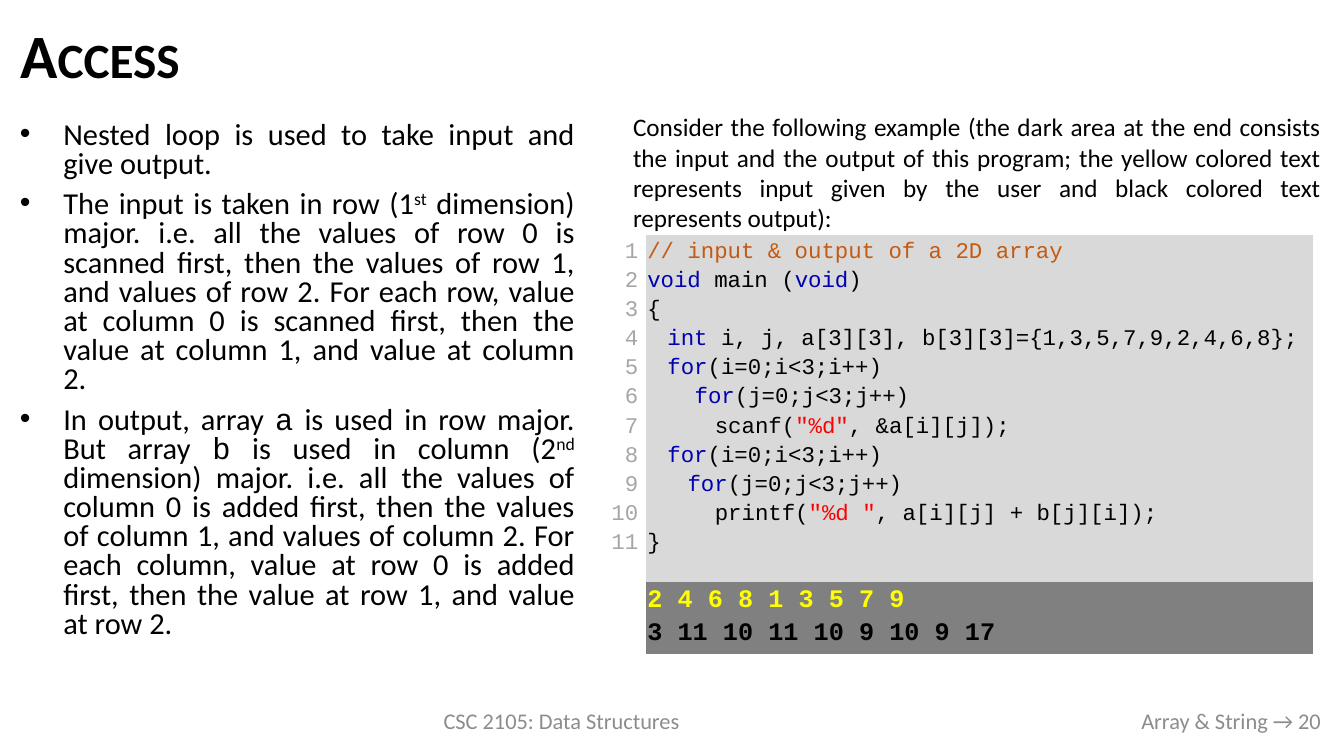
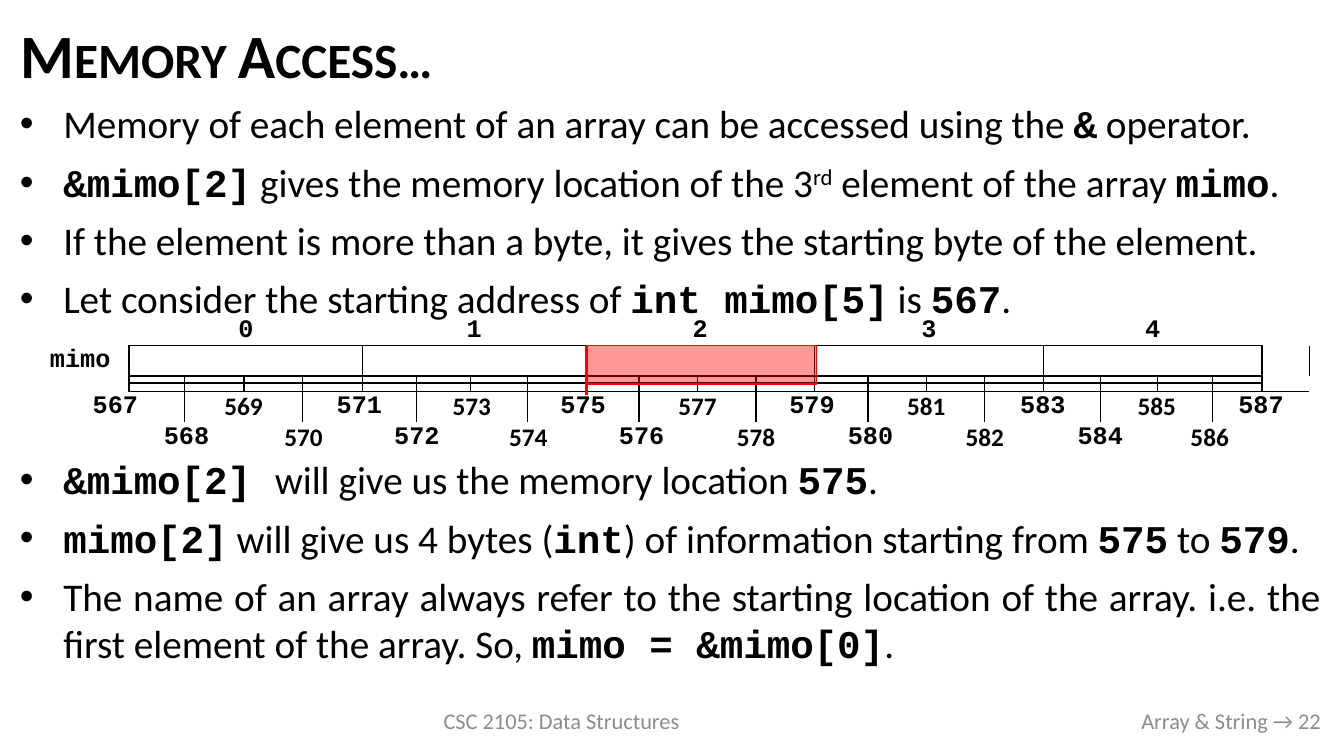
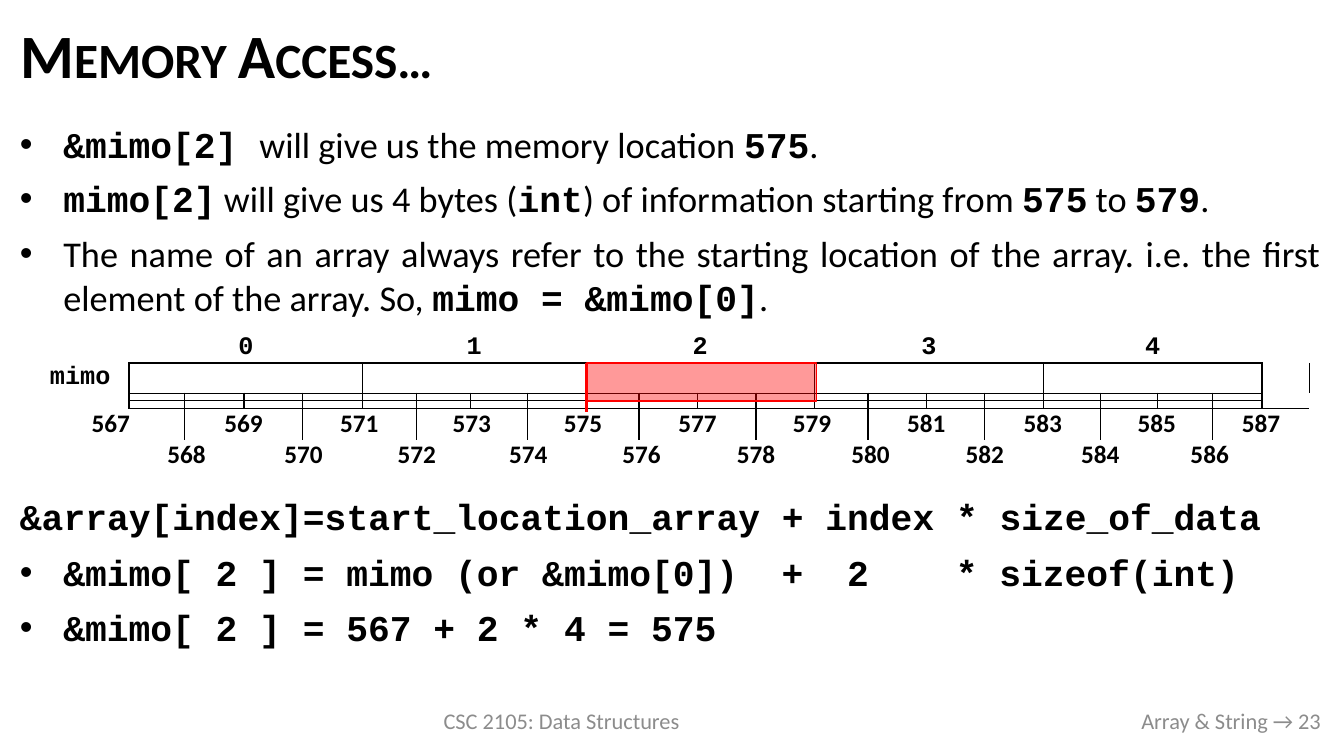
from collections import defaultdict
from dataclasses import dataclass, replace
from typing import Iterable, Optional, Union

from pptx import Presentation, util as u
from pptx.dml.color import RGBColor
from pptx.enum import shapes, text
from pptx.oxml.xmlchemy import OxmlElement

EMU_PER_PX = 9144  # 100 px to the inch
SANS, MONO = "Calibri", "Courier New"
COLORS = {
    "ink": "000000", "footer": "8C8C8C", "line_no": "A6A6A6", "comment": "C55A11",
    "keyword": "0000B0", "string": "FF0000", "input": "FFFF00",
    "code_bg": "D9D9D9", "console_bg": "808080", "mark": "FF0000",
}
ALIGN, ANCHOR = text.PP_ALIGN, text.MSO_ANCHOR
NO_STYLE = "{2D5ABB26-0587-4C30-8999-92F81FD0307C}"


@dataclass(frozen=True)
class Box:
    left: int
    top: int
    width: int
    height: int

    def emu(self) -> list[int]:
        return [px(n) for n in (self.left, self.top, self.width, self.height)]


@dataclass(frozen=True)
class Run:
    words: str
    color: str = "ink"
    font: str = SANS
    bold: bool = False
    raised: bool = False
    small_caps: bool = False


@dataclass(frozen=True)
class Style:
    size: float
    align: ALIGN = ALIGN.LEFT
    line: Optional[Union[float, u.Length]] = None
    gap: int = 0
    indent: int = 0
    bullet: bool = False


@dataclass(frozen=True)
class CodeLine:
    indent: int
    tokens: tuple[tuple[str, str], ...]


TITLE_BOX = Box(10, 11, 1310, 95)
COURSE_BOX = Box(389, 695, 336, 40)
PAGE_BOX = Box(771, 695, 549, 40)

ACCESS_POINTS = (
    "Nested loop is used to take input and give output.",
    "The input is taken in row (1^st^ dimension) major. i.e. all the values of row 0 is "
    "scanned first, then the values of row 1, and values of row 2. For each row, value at "
    "column 0 is scanned first, then the value at column 1, and value at column 2.",
    "In output, array `a` is used in row major. But array `b` is used in column (2^nd^ "
    "dimension) major. i.e. all the values of column 0 is added first, then the values of "
    "column 1, and values of column 2. For each column, value at row 0 is added first, then "
    "the value at row 1, and value at row 2.",
)
EXAMPLE_INTRO = (
    "Consider the following example (the dark area at the end consists the input and the "
    "output of this program; the yellow colored text represents input given by the user and "
    "black colored text represents output):"
)
FOR_I = (("for", "keyword"), ("(i=0;i<3;i++)", "ink"))
FOR_J = (("for", "keyword"), ("(j=0;j<3;j++)", "ink"))
PROGRAM = (
    CodeLine(0, (("// input & output of a 2D array", "comment"),)),
    CodeLine(0, (("void", "keyword"), (" main (", "ink"), ("void", "keyword"), (")", "ink"))),
    CodeLine(0, (("{", "ink"),)),
    CodeLine(20, (("int ", "keyword"),
                  ("i, j, a[3][3], b[3][3]={1,3,5,7,9,2,4,6,8};", "ink"))),
    CodeLine(20, FOR_I),
    CodeLine(47, FOR_J),
    CodeLine(67, (("scanf(", "ink"), ('"%d"', "string"), (", &a[i][j]);", "ink"))),
    CodeLine(20, FOR_I),
    CodeLine(40, FOR_J),
    CodeLine(67, (("printf(", "ink"), ('"%d "', "string"), (", a[i][j] + b[j][i]);", "ink"))),
    CodeLine(0, (("}", "ink"),)),
)
CONSOLE = (("2 4 6 8 1 3 5 7 9", "input"), ("3 11 10 11 10 9 10 9 17", "ink"))

MEMORY_POINTS = (
    "Memory of each element of an array can be accessed using the `&` operator.",
    "`&mimo[2]` gives the memory location of the 3^rd^ element of the array `mimo`.",
    "If the element is more than a byte, it gives the starting byte of the element.",
    "Let consider the starting address of `int mimo[5]` is `567`.",
)
ADDRESS_FACTS = (
    "`&mimo[2] `will give us the memory location `575`.",
    "`mimo[2]` will give us 4 bytes (`int`) of information starting from `575` to `579`.",
    "The name of an array always refer to the starting location of the array. i.e. the "
    "first element of the array. So, `mimo = &mimo[0]`.",
)
FORMULA = "`&array[index]=start_location_array + index * size_of_data`"
FORMULA_STEPS = (
    "`&mimo[ 2 ] = mimo (or &mimo[0])  +  2    * sizeof(int)`",
    "`&mimo[ 2 ] = 567 + 2 * 4 = 575`",
)

# Memory strip: one column per byte, with a margin column at each end
STRIP_COLS = (97, 55, 59, 58, 60, 53, 54, 56, 58, 53, 58,
              58, 58, 53, 58, 58, 58, 57, 56, 55, 49, 47)
STRIP_ROWS = (28, 28, 7, 8, 31, 31)
INDEX_ROW, ELEMENT_ROW, TICK_ROW, STUB_ROW, ODD_ROW, EVEN_ROW = range(6)
FIRST_BYTE, INT_SIZE, ELEMENTS = 567, 4, 5
BYTES = INT_SIZE * ELEMENTS


def px(n: int) -> int:
    return n * EMU_PER_PX


def rgb(name: str) -> RGBColor:
    return RGBColor.from_string(COLORS[name])


def apply(target, values: dict) -> None:
    for name, value in values.items():
        setattr(target, name, value)


def child(parent, tag: str, **attributes: str):
    element = OxmlElement(tag)
    for name, value in attributes.items():
        element.set(name, value)
    parent.append(element)
    return element


# Text
def rich(marked: str, bold_code: bool = True) -> list[Run]:
    """Backticks enclose code, carets enclose superscripts."""
    return [
        Run(piece, font=MONO if i % 2 else SANS, bold=bool(i % 2) and bold_code,
            raised=bool(j % 2))
        for i, chunk in enumerate(marked.split("`"))
        for j, piece in enumerate(chunk.split("^")) if piece
    ]


def write(frame, runs: Iterable[Run], style: Style) -> None:
    first = frame.paragraphs[0]
    par = frame.add_paragraph() if first.runs else first
    apply(par, {"alignment": style.align, "line_spacing": style.line,
                "space_before": u.Pt(style.gap), "space_after": u.Pt(style.gap)})
    props = par._p.get_or_add_pPr()
    props.set("marL", str(px(style.indent)))
    props.set("indent", str(-px(style.indent) if style.bullet else 0))
    if style.bullet:
        child(props, "a:buFont", typeface="Arial")
        child(props, "a:buChar", char="•")
    else:
        child(props, "a:buNone")
    for part in runs:
        run = par.add_run()
        run.text = part.words
        apply(run.font, {"size": u.Pt(style.size), "name": part.font, "bold": part.bold})
        run.font.color.rgb = rgb(part.color)
        run_props = run._r.get_or_add_rPr()
        if part.raised:
            run_props.set("baseline", "30000")
        if part.small_caps:
            run_props.set("cap", "small")


def text_box(slide, box: Box, anchor: ANCHOR = ANCHOR.TOP):
    frame = slide.shapes.add_textbox(*box.emu()).text_frame
    apply(frame, {"word_wrap": True, "vertical_anchor": anchor})
    return frame


def bullets(frame, points: Iterable[str], style: Style, bold_code: bool = True) -> None:
    for point in points:
        write(frame, rich(point, bold_code), style)


def bullet_style(size: float, line: Optional[Union[float, u.Length]] = None) -> Style:
    return Style(size, ALIGN.JUSTIFY, line, gap=4, indent=43, bullet=True)


# Slide frame: title and footers
def new_slide(deck, heading: str, page: int):
    slide = deck.slides.add_slide(deck.slide_layouts[5])
    title = slide.shapes.title
    apply(title, dict(zip(("left", "top", "width", "height"), TITLE_BOX.emu())))
    apply(title.text_frame, {"word_wrap": True, "vertical_anchor": ANCHOR.MIDDLE,
                             "auto_size": text.MSO_AUTO_SIZE.NONE})
    write(title.text_frame, [Run(heading, bold=True, small_caps=True)], Style(44, line=0.9))
    for box, words, align in (
        (COURSE_BOX, "CSC 2105: Data Structures", ALIGN.CENTER),
        (PAGE_BOX, f"Array & String → {page}", ALIGN.RIGHT),
    ):
        write(text_box(slide, box, ANCHOR.MIDDLE), [Run(words, "footer")], Style(16, align))
    return slide


# Tables
def plain_table(slide, left: int, top: int, cols: tuple[int, ...], rows: tuple[int, ...],
                inset: int):
    box = Box(left, top, sum(cols), sum(rows))
    table = slide.shapes.add_table(len(rows), len(cols), *box.emu()).table
    apply(table, {"first_row": False, "horz_banding": False})
    table._tbl.tblPr[0].text = NO_STYLE
    for column, width in zip(table.columns, cols):
        column.width = px(width)
    for row, height in zip(table.rows, rows):
        row.height = px(height)
    for cell in table.iter_cells():
        apply(cell, {f"margin_{side}": px(inset) for side in ("left", "top", "right", "bottom")})
        cell.fill.background()
    return table


def code_table(slide) -> None:
    table = plain_table(slide, 603, 233, (38, 661), (344, 72), inset=1)
    numbers, code = table.cell(0, 0), table.cell(0, 1)
    console = table.cell(1, 1)
    numbers.margin_right = px(8)
    for cell, color in ((code, "code_bg"), (console, "console_bg")):
        cell.fill.solid()
        cell.fill.fore_color.rgb = rgb(color)
    code_style = Style(16, line=1.15)
    for number, line in enumerate(PROGRAM, 1):
        write(numbers.text_frame, [Run(str(number), "line_no", MONO)],
              replace(code_style, align=ALIGN.RIGHT))
        write(code.text_frame, [Run(words, color, MONO) for words, color in line.tokens],
              replace(code_style, indent=line.indent))
    for words, color in CONSOLE:
        write(console.text_frame, [Run(words, color, MONO, bold=True)],
              replace(code_style, size=18))


def strip_borders(table) -> None:
    edges = defaultdict(set)
    last = len(STRIP_COLS) - 1
    every_byte = range(1, last + 1)
    # Upright lines: row, column boundaries, columns merged to the left of each
    for row, boundaries, span in (
        (ELEMENT_ROW, range(1, last + 1, INT_SIZE), INT_SIZE),
        (TICK_ROW, every_byte, 1),
        (STUB_ROW, every_byte, 1),
        (ODD_ROW, range(2, last, 2), 2),
    ):
        for col in boundaries:
            edges[row, max(0, col - span)].add("R")
            edges[row, col].add("L")
    # Level lines above and below the elements
    for row in (INDEX_ROW, TICK_ROW):
        for col in range(1, last):
            edges[row, col].add("B")
            edges[row + 1, col].add("T")
    for (row, col), sides in edges.items():
        props = table.cell(row, col)._tc.get_or_add_tcPr()
        for place, side in enumerate(s for s in "LRTB" if s in sides):
            line = OxmlElement(f"a:ln{side}")
            line.set("w", str(u.Pt(1)))
            child(child(line, "a:solidFill"), "a:srgbClr", val=COLORS["ink"])
            props.insert(place, line)


def memory_strip(slide, top: int, mono_labels: bool) -> None:
    table = plain_table(slide, 31, top, STRIP_COLS, STRIP_ROWS, inset=0)

    def label(row: int, col: int, words: str, span: int = 1, font: str = MONO) -> None:
        cell = table.cell(row, col)
        if span > 1:
            cell.merge(table.cell(row, col + span - 1))
        cell.vertical_anchor = ANCHOR.MIDDLE
        write(cell.text_frame, [Run(words, font=font, bold=True)], Style(18, ALIGN.CENTER))

    label(ELEMENT_ROW, 0, "mimo")
    for index in range(ELEMENTS):
        first = 1 + index * INT_SIZE
        label(INDEX_ROW, first, str(index), INT_SIZE)
        table.cell(ELEMENT_ROW, first).merge(table.cell(ELEMENT_ROW, first + INT_SIZE - 1))
    for offset in range(BYTES + 1):
        address = FIRST_BYTE + offset
        font = MONO if mono_labels and address % 4 in (0, 3) else SANS
        label(EVEN_ROW if offset % 2 else ODD_ROW, offset, str(address), 2, font)
    table.cell(ODD_ROW, 0).margin_left = px(15 if mono_labels else 6)
    # Empty cells must not stretch their rows
    for cell in table.iter_cells():
        par = cell.text_frame.paragraphs[0]
        if not par.runs:
            child(par._p, "a:endParaRPr", sz="100")
    strip_borders(table)

    # Highlight of element 2
    mark = Box(582, top + 30, 228, 38)
    x, y = px(mark.left), px(mark.top)
    start = slide.shapes.add_connector(shapes.MSO_CONNECTOR.STRAIGHT, x, y, x, y + px(49))
    child(start._element.spPr, "a:effectLst")
    element = slide.shapes.add_shape(shapes.MSO_SHAPE.RECTANGLE, *mark.emu())
    element.shadow.inherit = False
    element.fill.solid()
    element.fill.fore_color.rgb = rgb("mark")
    child(element.fill._xPr.solidFill[0], "a:alpha", val="40000")
    for shape, width in ((start, 2.25), (element, 1)):
        shape.line.color.rgb = rgb("mark")
        shape.line.width = u.Pt(width)


# Slides
def access_slide(deck) -> None:
    slide = new_slide(deck, "Access", 20)
    bullets(text_box(slide, Box(10, 116, 570, 548)), ACCESS_POINTS,
            bullet_style(21.7, 0.8), bold_code=False)
    code_table(slide)
    write(text_box(slide, Box(618, 106, 702, 131)), [Run(EXAMPLE_INTRO)],
          Style(18, ALIGN.JUSTIFY))


def memory_slide(deck) -> None:
    slide = new_slide(deck, "Memory Access…", 22)
    for top, points in ((94, MEMORY_POINTS), (447, ADDRESS_FACTS)):
        bullets(text_box(slide, Box(10, top, 1310, 235)), points, bullet_style(28))
    memory_strip(slide, 313, mono_labels=True)


def formula_slide(deck) -> None:
    slide = new_slide(deck, "Memory Access…", 23)
    bullets(text_box(slide, Box(10, 116, 1310, 210)), ADDRESS_FACTS, bullet_style(25.9))
    memory_strip(slide, 330, mono_labels=False)
    formula = text_box(slide, Box(10, 485, 1310, 197))
    step = bullet_style(25.9, u.Pt(31.6))
    write(formula, rich(FORMULA), replace(step, indent=0, bullet=False))
    bullets(formula, FORMULA_STEPS, step)


def main() -> None:
    deck = Presentation()
    apply(deck, {"slide_width": px(1333), "slide_height": px(750)})
    for build in (access_slide, memory_slide, formula_slide):
        build(deck)
    deck.save("out.pptx")


if __name__ == "__main__":
    main()
